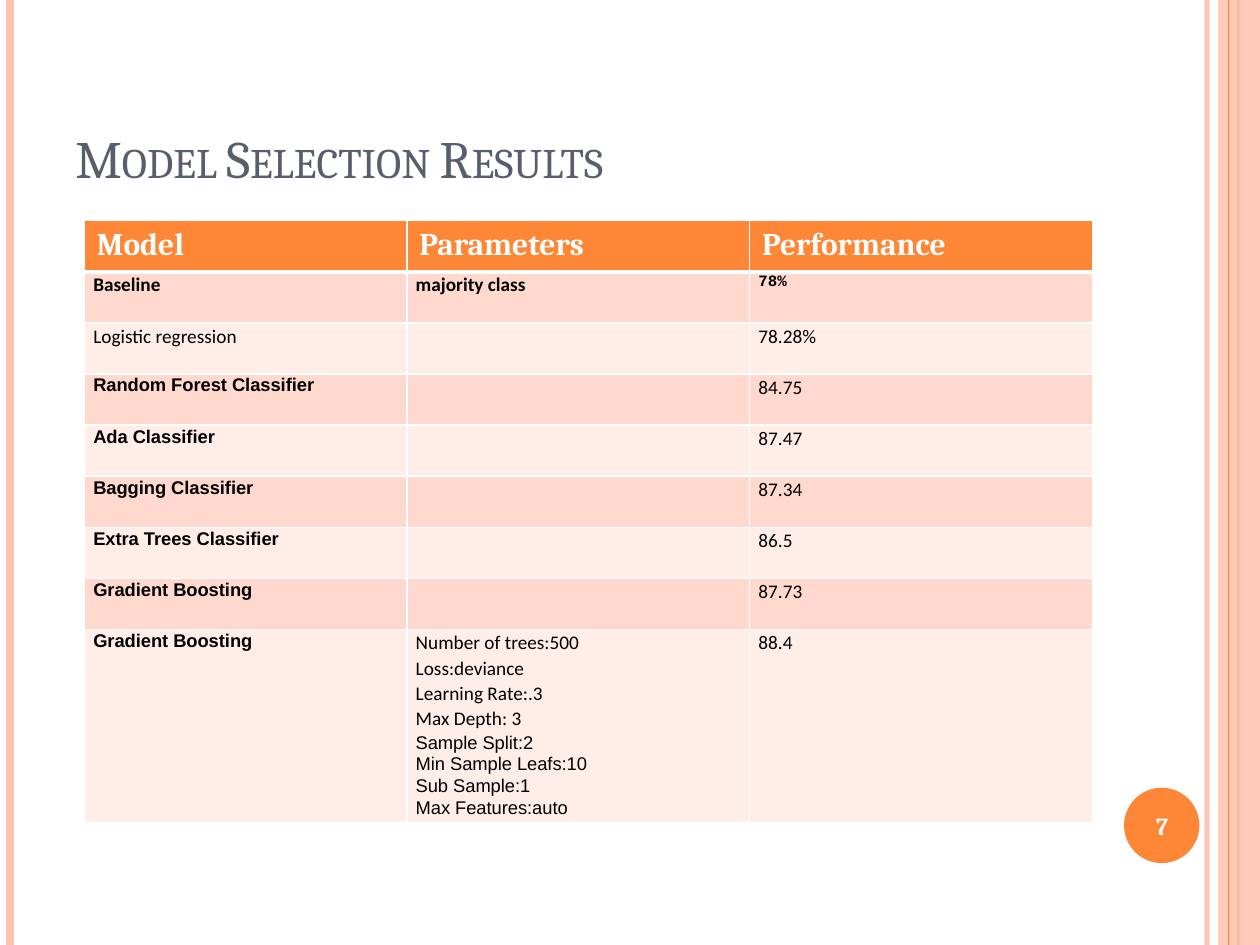
from lxml import etree
from pptx import Presentation
from pptx.dml.color import RGBColor
from pptx.enum.shapes import MSO_CONNECTOR, MSO_SHAPE
from pptx.enum.text import MSO_ANCHOR, PP_ALIGN
from pptx.oxml.ns import qn
from pptx.util import Cm, Pt

LINE = MSO_CONNECTOR.STRAIGHT
RECT, OVAL = MSO_SHAPE.RECTANGLE, MSO_SHAPE.OVAL
BOTTOM, MIDDLE = MSO_ANCHOR.BOTTOM, MSO_ANCHOR.MIDDLE
LEFT, CENTER = PP_ALIGN.LEFT, PP_ALIGN.CENTER
ORANGE, PEACH, WHITE, BLACK = "FE8637", "FEC3AE", "FFFFFF", "000000"
BANDS = ["FFEDE8", "FFD9CE"]


def rgb(color):
    return RGBColor.from_string(color)


def add_run(p, text, color, **font):
    r = p.add_run()
    r.text = text
    r.font.color.rgb = rgb(color)
    for name, value in font.items():
        setattr(r.font, name, value)
    return r


prs = Presentation()
prs.slide_width, prs.slide_height = Cm(25.4), Cm(19.05)
s = prs.slides.add_slide(prs.slide_layouts[6])

# Vertical stripes, page edge band and number disc
decor = [
    ("line", 24.33, PEACH, 3, 93),
    ("line", 0.21, PEACH, 4.5, 100),
    ("line", 24.97, ORANGE, 1.5, 100),
    (RECT, (24.56, 0, 0.84, 19.05), PEACH, 0, 87),
    ("line", 24.77, ORANGE, 0.75, 100),
    (OVAL, (22.66, 15.88, 1.52, 1.52), ORANGE, 0, 100),
]
for kind, place, color, width, alpha in decor:
    if kind == "line":
        sp = s.shapes.add_connector(LINE, Cm(place), 0, Cm(place), prs.slide_height)
        sp.line.width = Pt(width)
        fill = sp.line.fill
    else:
        sp = s.shapes.add_shape(kind, *map(Cm, place))
        sp.shadow.inherit = False
        sp.line.fill.background()
        fill = sp.fill
    fill.solid()
    fill.fore_color.rgb = rgb(color)
    sp_pr = sp._element.spPr
    if alpha < 100:
        clr = next(sp_pr.iter(qn("a:srgbClr")))
        etree.SubElement(clr, qn("a:alpha")).set("val", str(alpha * 1000))
    if kind == "line":
        etree.SubElement(sp_pr, qn("a:effectLst"))

# Title and slide number
labels = [
    ("Model Selection Results", (1.27, 0.76, 20.75, 3.18), BOTTOM, LEFT, "575F6D", 30, False),
    ("7", (22.58, 15.93, 1.7, 1.45), MIDDLE, CENTER, WHITE, 14, True),
]
for text, place, anchor, align, color, size, bold in labels:
    tf = s.shapes.add_textbox(*map(Cm, place)).text_frame
    tf.word_wrap = True
    tf.vertical_anchor = anchor
    p = tf.paragraphs[0]
    p.alignment = align
    r = add_run(p, text, color, name="Cambria", size=Pt(size), bold=bold)
    if anchor == BOTTOM:
        r._r.get_or_add_rPr().set("cap", "small")

# Table contents: each cell is a list of (text, style) lines
head = dict(name="Cambria", size=Pt(18), bold=True)
body = dict(name="Calibri", size=Pt(11), bold=False)
strong = dict(body, bold=True)
code = dict(name="Courier New", size=Pt(9), bold=True)
plain = dict(name="Arial", size=Pt(10.5), bold=False)
model = dict(plain, bold=True)

settings = [(text, body) for text in
            ("Number of trees:500", "Loss:deviance", "Learning Rate:.3", "Max Depth: 3")]
settings += [(text, plain) for text in
             ("Sample Split:2", "Min Sample Leafs:10", "Sub Sample:1", "Max Features:auto")]
scores = [("Random Forest Classifier", "84.75"), ("Ada Classifier", "87.47"),
          ("Bagging Classifier", "87.34"), ("Extra Trees Classifier", "86.5"),
          ("Gradient Boosting", "87.73")]
rows = [
    [[(text, head)] for text in ("Model", "Parameters", "Performance")],
    [[("Baseline", strong)], [("majority class", strong)], [("78%", code)]],
    [[("Logistic regression", body)], [], [("78.28%", body)]],
]
rows += [[[(name, model)], [], [(score, body)]] for name, score in scores]
rows.append([[("Gradient Boosting", model)], settings, [("88.4", body)]])

# Table grid
widths = [6.5, 6.91, 6.91]
heights = [1.03] * 8 + [3.79]
frame = s.shapes.add_table(len(rows), len(widths), Cm(1.7), Cm(4.45),
                           Cm(sum(widths)), Cm(sum(heights)))
table = frame.table
for column, width in zip(table.columns, widths):
    column.width = Cm(width)
for row, height in zip(table.rows, heights):
    row.height = Cm(height)

# Table cells
for i, row in enumerate(rows):
    for j, lines in enumerate(row):
        cell = table.cell(i, j)
        tc_pr = cell._tc.get_or_add_tcPr()
        for side in "LRTB":
            thick = (i, side) in [(0, "B"), (1, "T")]
            ln = etree.SubElement(tc_pr, qn("a:ln" + side), w=str(Pt(3 if thick else 1)))
            solid = etree.SubElement(ln, qn("a:solidFill"))
            etree.SubElement(solid, qn("a:srgbClr"), val=WHITE)
        cell.fill.solid()
        cell.fill.fore_color.rgb = rgb(BANDS[i % 2] if i else ORANGE)
        if i and lines:
            cell.margin_left = cell.margin_right = Cm(0.18)
            cell.margin_top = cell.margin_bottom = 0
        tf = cell.text_frame
        for k, (text, style) in enumerate(lines):
            p = tf.add_paragraph() if k else tf.paragraphs[0]
            if i:
                p.line_spacing = 1.07
            if 1 <= i <= 5:
                p.space_after = Pt(8)
            add_run(p, text, BLACK if i else WHITE, **style)

# Row 1 is the first shaded band
for i in range(1, len(rows)):
    for j in range(len(widths)):
        table.cell(i, j).fill.fore_color.rgb = rgb(BANDS[i % 2])

prs.save("out.pptx")
